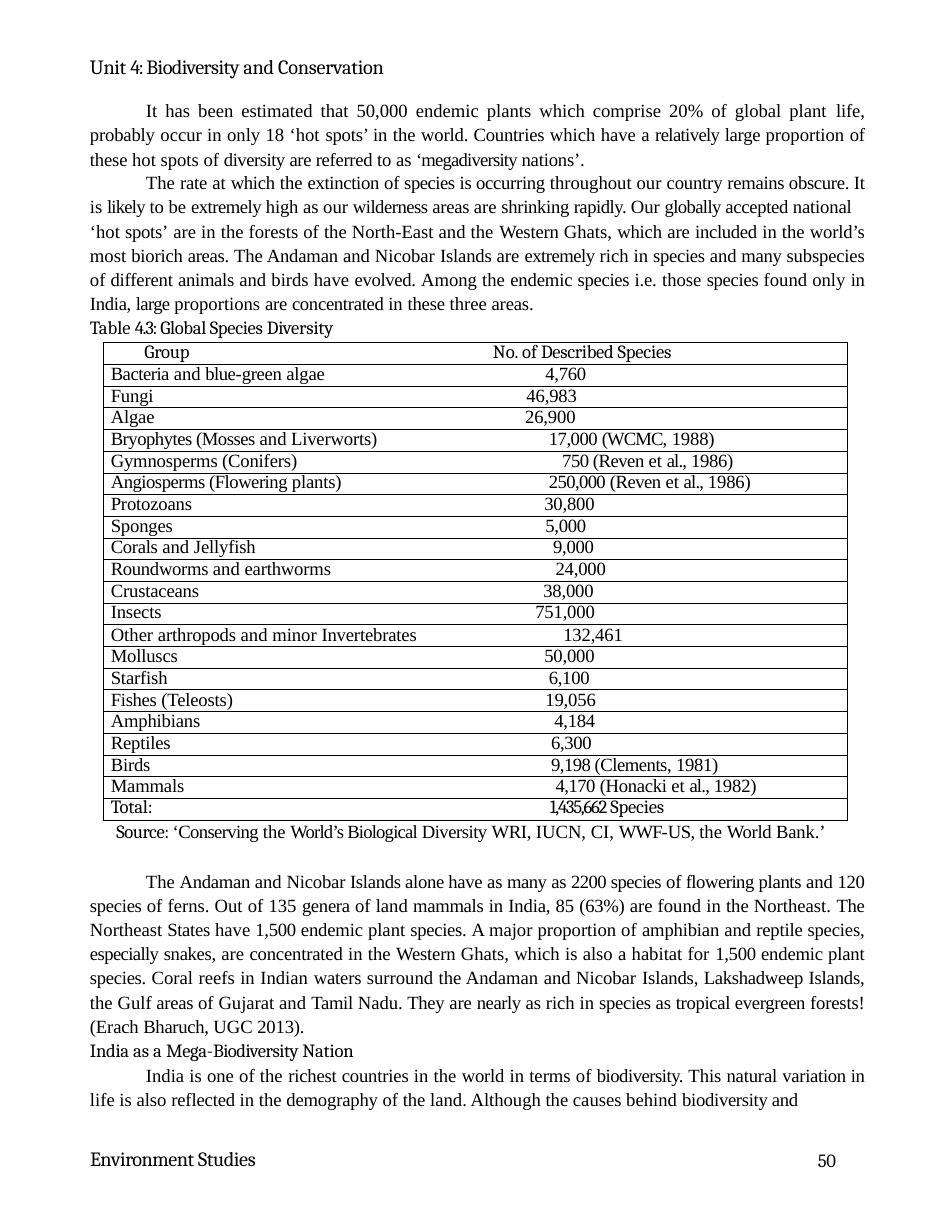
from dataclasses import dataclass
from typing import Optional, Union

from lxml.etree import SubElement
from pptx import Presentation
from pptx.dml.color import RGBColor
from pptx.enum.text import MSO_AUTO_SIZE, PP_ALIGN
from pptx.oxml.ns import qn
from pptx.util import Pt

SERIF = "Times New Roman"
HEADING = "Cambria"
BLACK = "000000"


@dataclass
class Paragraph:
    spaced_text: str
    font: str = SERIF
    size: float = 12
    left: float = 1
    indent: float = 0
    justified: bool = False
    line: Optional[Union[float, Pt]] = None
    before: float = 0
    lead_font: str = ""


@dataclass
class Row:
    group: str
    count: str
    count_left: float
    font: str = SERIF
    group_left: float = 5


def colour(code: str) -> RGBColor:
    return RGBColor.from_string(code)


def split_by_spacing(spaced_text: str) -> list[tuple[str, float]]:
    first, *others = spaced_text.split("{")
    spans = [(first, 0.0)] if first else []
    for other in others:
        spacing, text = other.split("}")
        spans.append((text, float(spacing)))
    return spans


def write_paragraph(para, content: Paragraph) -> None:
    properties = para._p.get_or_add_pPr()
    properties.set("marL", str(int(Pt(content.left))))
    properties.set("indent", str(int(Pt(content.indent))))
    para.alignment = PP_ALIGN.JUSTIFY if content.justified else PP_ALIGN.LEFT
    para.space_before = Pt(content.before)
    if content.line:
        para.line_spacing = content.line
    for index, (text, spacing) in enumerate(split_by_spacing(content.spaced_text)):
        span = para.add_run()
        span.text = text
        span.font.name = content.lead_font if content.lead_font and index == 0 else content.font
        span.font.size = Pt(content.size)
        span.font.color.rgb = colour(BLACK)
        span._r.get_or_add_rPr().set("spc", str(round(spacing * 100)))


def add_text(page, left: float, top: float, width: float, height: float,
             paragraphs: list[Paragraph]) -> None:
    box = page.shapes.add_textbox(Pt(left), Pt(top), Pt(width), Pt(height))
    frame = box.text_frame
    frame.word_wrap = True
    frame.auto_size = MSO_AUTO_SIZE.SHAPE_TO_FIT_TEXT
    frame.margin_left = frame.margin_top = frame.margin_right = frame.margin_bottom = 0
    for index, content in enumerate(paragraphs):
        para = frame.add_paragraph() if index else frame.paragraphs[0]
        write_paragraph(para, content)


def set_borders(cell, drawn: str) -> None:
    properties = cell._tc.get_or_add_tcPr()
    for side in "LRTB":
        border = SubElement(properties, qn(f"a:ln{side}"), w=str(int(Pt(0.5))))
        if side in drawn:
            fill = SubElement(border, qn("a:solidFill"))
            SubElement(fill, qn("a:srgbClr"), val=BLACK)
        else:
            SubElement(border, qn("a:noFill"))


def add_species_table(page, left: float, top: float, widths: tuple[float, float],
                      row_height: float, rows: list[Row]) -> None:
    table = page.shapes.add_table(len(rows), 2, Pt(left), Pt(top), Pt(sum(widths)),
                                  Pt(row_height * len(rows))).table
    table.first_row = table.horz_banding = False
    for column, width in zip(table.columns, widths):
        column.width = Pt(width)
    for index, row in enumerate(rows):
        table.rows[index].height = Pt(row_height)
        line = Pt(13.1 if index % 3 == 1 else 12.9)
        sides = ((row.group, row.group_left, "LTB"), (row.count, row.count_left, "RTB"))
        for column, (spaced_text, indent, borders) in enumerate(sides):
            cell = table.cell(index, column)
            cell.margin_left = cell.margin_top = cell.margin_right = cell.margin_bottom = 0
            set_borders(cell, borders)
            cell.fill.background()
            write_paragraph(cell.text_frame.paragraphs[0],
                            Paragraph(spaced_text, row.font, left=indent, line=line))


OPENING = [
    Paragraph("{-0.2}Unit {-1.1}4: {-0.3}Biodiversity {-0.2}and {-0.1}Conservation", HEADING, 13, justified=True),
    Paragraph("It has been estimated that 50,000 endemic plants which comprise 20% of global plant {-0.1}life, probably{0} occur in only 18 ‘hot {-0.1}spots’ {0}in the {-0.1}world. Countries {0}which have a {-0.4}relatively {-0.2}large {0}proportion {-0.2}of {-0.1}these {0}hot spots of {-0.3}diversity {-0.2}are referred {0}to {-0.1}as {-0.5}‘megadiversity {-0.1}nations’.",
              indent=36, justified=True, line=1.08, before=12.1),
    Paragraph("The {-0.1}rate {0}at {-0.2}which {0}the {-0.2}extinction {0}of{-0.3} species {-0.2}is occurring {0}throughout our {-0.1}country {-0.2}remains obscure. It {0}is {-0.5}likely {0}to be {-0.3}extremely {-0.1}high {0}as our {-0.3}wilderness {-0.2}areas {0}are {-0.2}shrinking {-0.3}rapidly. {0}Our {-0.4}globally {-0.2}accepted {-0.1}national",
              indent=36, justified=True, line=1.07),
    Paragraph("".join((
        "‘hot {-0.2}spots’{0} are in the forests of the North-East and the {-0.1}Western {0}Ghats, {-0.1}which{0} are {-0.2}included{0} in the {-0.1}world’s {0}most {-0.1}biorich {-0.2}areas. ",
        "{0}The{-0.1} Andaman {0}and Nicobar {-0.1}Islands {0}are {-0.3}extremely {0}rich in {-0.2}species {0}and{-0.2} many {-0.1}subspecies {0}of{-0.1} different {-0.2}animals {0}and birds have {-0.2}evolved. ",
        "{0}Among the {-0.1}endemic {-0.2}species {-0.1}i.e.{0} those {-0.2}species {0}found only {-0.2}in India, {-0.4}large {0}proportions {-0.1}are {-0.2}concentrated {0}in {-0.1}these {0}three {-0.1}areas.")),
              justified=True, line=1.08, before=0.1),
    Paragraph("Table {-0.8}4.3: {-0.2}Global Species {-0.1}Diversity", HEADING, justified=True, before=1.1),
]

SPECIES = [
    Row("{-0.1}Group", "No. of {-0.2}Described {-0.1}Species", 23.8, HEADING, 26.6),
    Row("{-0.3}Bacteria {0}and {-0.3}blue-{-0.2}green {-0.1}algae", "{-0.2}4,760", 57.6),
    Row("{-0.1}Fungi", "{-0.1}46,983", 45.4),
    Row("{-0.1}Algae", "{-0.1}26,900", 44.6),
    Row("{-0.3}Bryophytes (Mosses {0}and{-0.1} Liverworts)", "{-0.3}17,000 {-0.6}(WCMC,{-0.1} 1988)", 59.8),
    Row("{-0.1}Gymnosperms (Conifers)", "{-0.3}750 (Reven {0}et {-0.5}al., {-0.2}1986)", 68.4),
    Row("{-0.3}Angiosperms (Flowering {-0.1}plants)", "{-0.4}250,000 {-0.3}(Reven {0}et {-0.5}al., {-0.1}1986)", 59.8),
    Row("{-0.1}Protozoans", "{-0.1}30,800", 56.9),
    Row("{-0.1}Sponges", "{-0.2}5,000", 57.6),
    Row("{-0.2}Corals {0}and {-0.1}Jellyfish", "{-0.2}9,000", 62.6),
    Row("{-0.2}Roundworms {0}and {-0.1}earthworms", "{-0.1}24,000", 64.1),
    Row("{-0.1}Crustaceans", "{-0.1}38,000", 56.2),
    Row("{-0.1}Insects", "{-0.1}751,000", 51.1),
    Row("Other {-0.1}arthropods {0}and minor {-0.1}Invertebrates", "{-0.1}132,461", 69.1),
    Row("{-0.1}Molluscs", "{-0.1}50,000", 56.9),
    Row("{-0.1}Starfish", "{-0.2}6,100", 59.8),
    Row("{-0.2}Fishes {-0.1}(Teleosts)", "{-0.1}19,056", 57.6),
    Row("{-0.1}Amphibians", "{-0.2}4,184", 63.4),
    Row("{-0.1}Reptiles", "{-0.2}6,300", 61.2),
    Row("{-0.1}Birds", "{-0.3}9,198 (Clements, {-0.2}1981)", 61.2),
    Row("{-0.1}Mammals", "{-0.3}4,170 {-0.2}(Honacki {0}et {-0.5}al., {-0.1}1982)", 64.1),
    Row("{-0.1}Total:", "{-0.8}1,435,662 {-0.1}Species", 60.5, HEADING),
]

CLOSING = [
    Paragraph("{-0.3}Source: {-0.4}‘Conserving {0}the {-0.5}World’s Biological {-0.3}Diversity {-0.2}WRI, {0}IUCN, CI, {-0.6}WWF-{-0.4}US, {0}the {-0.2}World {-0.1}Bank.’",
              left=18, lead_font=HEADING),
    Paragraph("".join((
        "The {-0.2}Andaman {0}and {-0.1}Nicobar {-0.2}Islands alone have {-0.1}as {-0.3}many {-0.1}as {-0.4}2200 {-0.3}species {0}of{-0.3} flowering {-0.2}plants {0}and {-0.2}120 species {0}of ferns. ",
        "Out of 135 {-0.2}genera {0}of land {-0.2}mammals {0}in {-0.1}India, {0}85 {-0.2}(63%) {0}are found in the Northeast. {-0.2}The {0}Northeast{-0.2} States {0}have {-0.2}1,500 {-0.1}endemic {0}plant {-0.2}species. ",
        "{0}A major proportion of {-0.1}amphibian {0}and {-0.1}reptile species, {-0.4}especially {-0.2}snakes, {0}are {-0.1}concentrated {0}in the {-0.1}Western {0}Ghats, which is also a habitat for {-0.2}1,500 {-0.1}endemic plant {-0.2}species. ",
        "{0}Coral reefs in Indian {-0.1}waters {0}surround the Andaman and Nicobar {-0.1}Islands, {-0.2}Lakshadweep {-0.1}Islands, {0}the Gulf{-0.2} areas {0}of Gujarat and {-0.2}Tamil {0}Nadu.",
        "{-0.2} They {0}are {-0.3}nearly {0}as rich in {-0.2}species {0}as{-0.2} tropical evergreen {-0.1}forests! (Erach {-0.2}Bharuch, {0}UGC{-0.1} 2013).")),
              indent=36, justified=True, line=1.08, before=16.2),
    Paragraph("{-0.2}India {0}as a {-0.2}Mega-{-0.3}Biodiversity {-0.1}Nation", HEADING, before=1.1),
    Paragraph("India is one of the {-0.1}richest countries {0}in the {-0.1}world {0}in terms of {-0.3}biodiversity. {0}This{-0.1} natural {-0.2}variation in {0}life is also {-0.1}reflected {0}in the {-0.1}demography {0}of the land. Although the causes behind {-0.2}biodiversity and",
              indent=36, justified=True, line=Pt(15.6), before=0.6),
]


def main() -> None:
    deck = Presentation()
    deck.slide_width, deck.slide_height = Pt(612), Pt(792)
    page = deck.slides.add_slide(deck.slide_layouts[6])
    add_text(page, 56.9, 738, 118, 16.6,
             [Paragraph("{-0.3}Environment {-0.2}Studies", HEADING, 13, line=Pt(14.8))])
    add_text(page, 522.7, 739.4, 23, 15.8,
             [Paragraph("{-0.2}50", HEADING, left=3, line=Pt(13.8))])
    add_text(page, 56.9, 34.8, 499, 184, OPENING)
    add_species_table(page, 66.24, 220.3, (226.8, 252), 13.95, SPECIES)
    add_text(page, 56.9, 527.3, 499, 186, CLOSING)
    deck.save("out.pptx")


if __name__ == "__main__":
    main()
